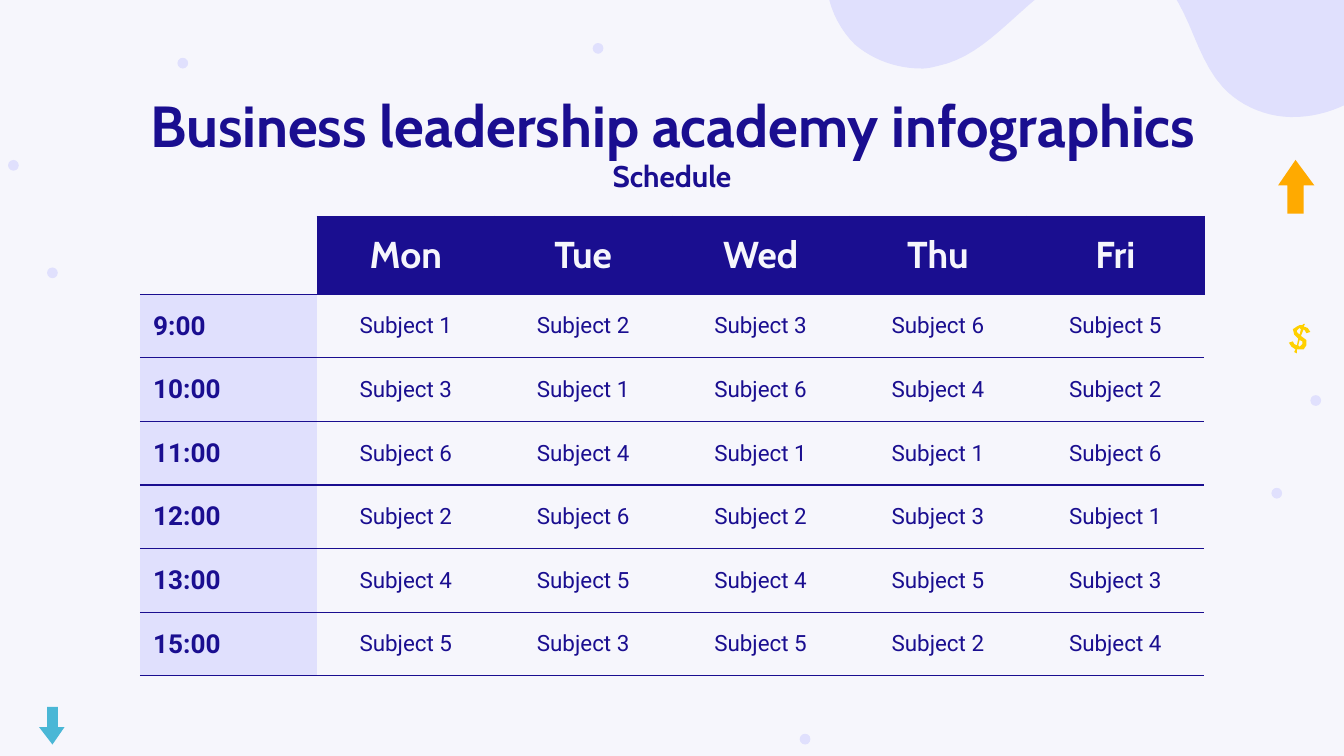
from lxml import etree
from pptx import Presentation
from pptx.dml.color import RGBColor
from pptx.enum.shapes import MSO_SHAPE
from pptx.enum.text import MSO_ANCHOR, PP_ALIGN
from pptx.oxml.ns import qn
from pptx.util import Inches, Pt

CENTER, LEFT = PP_ALIGN.CENTER, PP_ALIGN.LEFT
TOP, MIDDLE = MSO_ANCHOR.TOP, MSO_ANCHOR.MIDDLE
OVAL = MSO_SHAPE.OVAL

NAVY = RGBColor(0x1A, 0x0E, 0x90)
LAVENDER = RGBColor(0xE0, 0xE0, 0xFD)
PALE = RGBColor(0xF6, 0xF6, 0xFC)
ORANGE = RGBColor(0xFF, 0xAA, 0x00)
TEAL = RGBColor(0x4A, 0xB7, 0xD6)
YELLOW = RGBColor(0xFF, 0xD0, 0x00)

TITLE = "Business leadership academy infographics"
SUBTITLE = "Schedule"
DAYS = ["Mon", "Tue", "Wed", "Thu", "Fri"]
SUBJECTS = {  # subject number for each day
    "9:00": [1, 2, 3, 6, 5],
    "10:00": [3, 1, 6, 4, 2],
    "11:00": [6, 4, 1, 1, 6],
    "12:00": [2, 6, 2, 3, 1],
    "13:00": [4, 5, 4, 5, 3],
    "15:00": [5, 3, 5, 2, 4],
}

# Table geometry in inches
TABLE_LEFT, TABLE_TOP, TABLE_HEIGHT = 1.04, 1.61, 3.42
COLUMN_WIDTH, HEADER_HEIGHT = 1.32, 0.58
ROW_HEIGHT = (TABLE_HEIGHT - HEADER_HEIGHT) / len(SUBJECTS)

# Decorations in inches
DOT_SIZE = 0.08
DOTS = [(5.95, 5.46), (9.46, 3.63), (0.06, 1.19), (4.41, 0.32),
        (1.32, 0.43), (0.35, 1.99), (9.75, 2.94)]
UP_ARROW = [(9.64, 1.19), (9.51, 1.38), (9.58, 1.38), (9.58, 1.59),
            (9.7, 1.59), (9.7, 1.38), (9.78, 1.38)]
DOWN_ARROW = [(0.35, 5.26), (0.35, 5.41), (0.29, 5.41), (0.39, 5.54),
              (0.48, 5.41), (0.43, 5.41), (0.43, 5.26)]
DOLLAR = [
    [(9.67, 2.44), (9.68, 2.45), (9.67, 2.49), (9.65, 2.47), (9.65, 2.46), (9.66, 2.45)],
    [(9.67, 2.53), (9.69, 2.54), (9.69, 2.56), (9.68, 2.57), (9.67, 2.58), (9.66, 2.57)],
    [(9.7, 2.41), (9.69, 2.42), (9.67, 2.42), (9.65, 2.43), (9.62, 2.45), (9.63, 2.49),
     (9.66, 2.52), (9.65, 2.57), (9.63, 2.56), (9.62, 2.54), (9.59, 2.55), (9.61, 2.58),
     (9.64, 2.6), (9.63, 2.62), (9.65, 2.63), (9.65, 2.6), (9.68, 2.6), (9.7, 2.6),
     (9.72, 2.57), (9.72, 2.53), (9.68, 2.5), (9.7, 2.45), (9.71, 2.46), (9.72, 2.48),
     (9.75, 2.47), (9.73, 2.44), (9.7, 2.43), (9.71, 2.41)],
]
# The wave is two runs of curves: a start point, then control, control, end
WAVE_RIGHT = [
    (9.65, 0.87), (9.66, 0.87), (9.66, 0.87), (9.66, 0.87),
    (9.87, 0.86), (10.07, 0.77), (10.23, 0.64), (10.46, 0.46), (10.63, 0.16), (10.52, -0.11),
    (10.39, -0.42), (9.95, -0.53), (9.85, -0.85), (9.78, -1.05), (9.89, -1.29), (10.08, -1.37),
    (10.14, -1.4), (10.21, -1.41), (10.27, -1.41), (10.43, -1.42), (10.6, -1.38), (10.76, -1.38),
    (11.08, -1.4), (11.36, -1.63), (11.45, -1.92), (11.54, -2.22), (11.42, -2.59), (11.17, -2.78),
]
WAVE_LEFT = [
    (5.26, -2.54), (5.09, -2.35), (5.02, -2.01), (5.12, -1.77),
    (5.23, -1.53), (5.48, -1.37), (5.73, -1.37), (5.81, -1.37), (5.89, -1.38), (5.97, -1.38),
    (6.05, -1.38), (6.13, -1.38), (6.2, -1.34), (6.37, -1.24), (6.4, -1.01), (6.35, -0.82),
    (6.29, -0.63), (6.19, -0.47), (6.16, -0.27), (6.12, -0.06), (6.2, 0.17), (6.36, 0.33),
    (6.5, 0.45), (6.68, 0.51), (6.86, 0.51), (6.9, 0.51), (6.94, 0.5), (6.98, 0.49),
    (7.27, 0.43), (7.48, 0.18), (7.71, -0.01), (7.87, -0.15), (8.09, -0.27), (8.29, -0.27),
    (8.37, -0.28), (8.46, -0.26), (8.54, -0.22), (8.85, -0.05), (8.86, 0.39), (9.1, 0.65),
    (9.24, 0.8), (9.45, 0.88), (9.65, 0.87),
]


def flatten(curve, steps=12):
    """Return points along a run of cubic Bezier curves."""
    points = [curve[0]]
    for i in range(0, len(curve) - 1, 3):
        for step in range(1, steps + 1):
            t = step / steps
            weights = ((1 - t) ** 3, 3 * t * (1 - t) ** 2, 3 * t * t * (1 - t), t ** 3)
            points.append(tuple(
                sum(w * p[axis] for w, p in zip(weights, curve[i:i + 4])) for axis in (0, 1)))
    return points


def paint(shape, color):
    shape.shadow.inherit = False
    shape.fill.solid()
    shape.fill.fore_color.rgb = color
    shape.line.fill.background()


def add_outline(slide, contours, color):
    contours = [[(Inches(x), Inches(y)) for x, y in contour] for contour in contours]
    builder = slide.shapes.build_freeform(*contours[0][0])
    for i, contour in enumerate(contours):
        if i:
            builder.move_to(*contour[0])
        builder.add_line_segments(contour[1:], close=True)
    paint(builder.convert_to_shape(), color)


def write(text_frame, text, size, font, color, bold=True, align=CENTER):
    text_frame.text = text
    paragraph = text_frame.paragraphs[0]
    paragraph.alignment = align
    paragraph.font.size = Pt(size)
    paragraph.font.name = font
    paragraph.font.bold = bold
    paragraph.font.color.rgb = color
    return paragraph


def set_frame(text_frame):
    text_frame.word_wrap = True
    text_frame.vertical_anchor = TOP
    text_frame.margin_left = text_frame.margin_right = Inches(0.1)
    text_frame.margin_top = text_frame.margin_bottom = Inches(0.1)


def set_borders(cell, sides):
    """Draw the named sides (from L, R, T, B) and hide the others."""
    properties = cell._tc.get_or_add_tcPr()
    for side in "LRTB":
        line = etree.SubElement(properties, qn(f"a:ln{side}"), w=str(Pt(0.75)))
        if side in sides:
            fill = etree.SubElement(line, qn("a:solidFill"))
            etree.SubElement(fill, qn("a:srgbClr"), val=str(NAVY))
        else:
            etree.SubElement(line, qn("a:noFill"))


def format_cell(cell, borders, fill=None):
    set_borders(cell, borders)
    if fill is None:
        cell.fill.background()
    else:
        cell.fill.solid()
        cell.fill.fore_color.rgb = fill
    cell.vertical_anchor = MIDDLE
    cell.margin_left = cell.margin_right = Inches(0.1)
    cell.margin_top = cell.margin_bottom = Inches(0.1)


def add_schedule(slide):
    row_count, column_count = len(SUBJECTS) + 1, len(DAYS) + 1
    table = slide.shapes.add_table(
        row_count, column_count, Inches(TABLE_LEFT), Inches(TABLE_TOP),
        Inches(COLUMN_WIDTH * column_count), Inches(TABLE_HEIGHT)).table
    table.first_row = table.horz_banding = False
    for column in table.columns:
        column.width = Inches(COLUMN_WIDTH)
    for i, row in enumerate(table.rows):
        row.height = Inches(ROW_HEIGHT if i else HEADER_HEIGHT)

    format_cell(table.cell(0, 0), "RB")
    for column, day in enumerate(DAYS, 1):
        cell = table.cell(0, column)
        format_cell(cell, "LRTB", NAVY)
        write(cell.text_frame, day, 20, "Cabin", PALE)
    for row, (time, subjects) in enumerate(SUBJECTS.items(), 1):
        cell = table.cell(row, 0)
        format_cell(cell, "TB", LAVENDER)
        write(cell.text_frame, time, 14, "Roboto", NAVY, align=LEFT)
        for column, number in enumerate(subjects, 1):
            cell = table.cell(row, column)
            format_cell(cell, "TB")
            write(cell.text_frame, f"Subject {number}", 12, "Roboto", NAVY, bold=False)


presentation = Presentation()
presentation.slide_width = Inches(10)
presentation.slide_height = presentation.slide_width * 9 // 16
slide = presentation.slides.add_slide(presentation.slide_layouts[5])
slide.background.fill.solid()
slide.background.fill.fore_color.rgb = PALE

for x, y in DOTS:
    dot = slide.shapes.add_shape(OVAL, Inches(x), Inches(y), Inches(DOT_SIZE), Inches(DOT_SIZE))
    paint(dot, LAVENDER)
add_outline(slide, [UP_ARROW], ORANGE)
add_outline(slide, [DOWN_ARROW], TEAL)
add_outline(slide, DOLLAR, YELLOW)
add_outline(slide, [flatten(WAVE_RIGHT) + flatten(WAVE_LEFT)], LAVENDER)

title = slide.shapes.title
title.left, title.top, title.width, title.height = map(Inches, (0.79, 0.49, 8.43, 0.63))
set_frame(title.text_frame)
write(title.text_frame, TITLE, 31, "Cabin", NAVY).line_spacing = 1.15

subtitle = slide.shapes.add_textbox(*map(Inches, (2.61, 1.07, 4.78, 0.44)))
set_frame(subtitle.text_frame)
write(subtitle.text_frame, SUBTITLE, 16, "Cabin", NAVY)

add_schedule(slide)
presentation.save("out.pptx")
